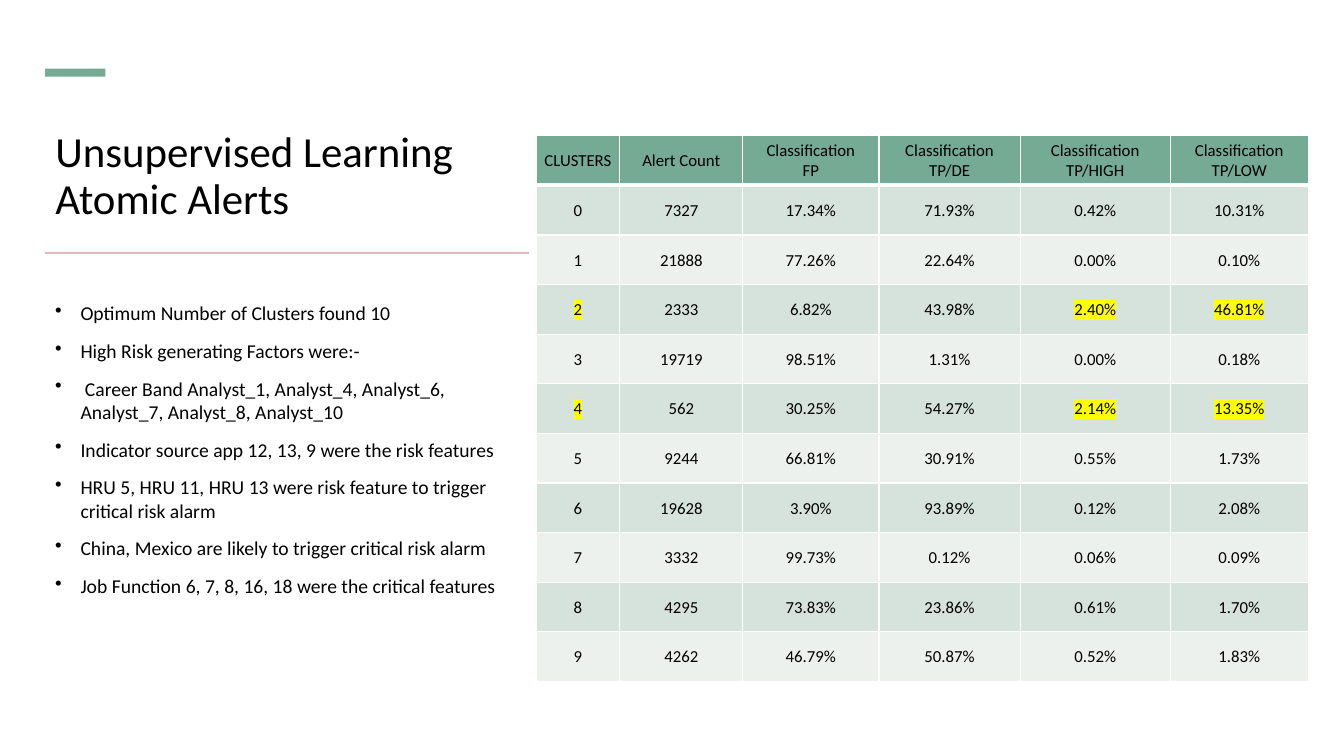
from lxml.etree import SubElement
from pptx import Presentation
from pptx.dml.color import RGBColor
from pptx.enum.shapes import MSO_SHAPE as Shape
from pptx.enum.text import MSO_ANCHOR as Anchor, MSO_AUTO_SIZE as AutoSize, PP_ALIGN as Align
from pptx.oxml.ns import qn
from pptx.util import Cm, Pt

FONT = "Calibri"
COLORS = {
    "text": "000000",
    "green": "75AB94",
    "rose": "DBBDBE",
    "band_dark": "D6E2DC",
    "band_light": "ECF1EE",
    "border": "FFFFFF",
    "highlight": "FFFF00",
}
LEFT = 1.14
TEXT_WIDTH = 12.34

FINDINGS = [
    "Optimum Number of Clusters found 10",
    "High Risk generating Factors were:-",
    " Career Band Analyst_1, Analyst_4, Analyst_6, Analyst_7, Analyst_8, Analyst_10",
    "Indicator source app 12, 13, 9 were the risk features",
    "HRU 5, HRU 11, HRU 13 were risk feature to trigger critical risk alarm",
    "China, Mexico are likely to trigger critical risk alarm",
    "Job Function 6, 7, 8, 16, 18 were the critical features",
]
HEADER = ["CLUSTERS", "Alert Count"] + [
    f"Classification\n{label}" for label in ("FP", "TP/DE", "TP/HIGH", "TP/LOW")
]
CLUSTERS = [
    ("0", "7327", "17.34%", "71.93%", "0.42%", "10.31%"),
    ("1", "21888", "77.26%", "22.64%", "0.00%", "0.10%"),
    ("2", "2333", "6.82%", "43.98%", "2.40%", "46.81%"),
    ("3", "19719", "98.51%", "1.31%", "0.00%", "0.18%"),
    ("4", "562", "30.25%", "54.27%", "2.14%", "13.35%"),
    ("5", "9244", "66.81%", "30.91%", "0.55%", "1.73%"),
    ("6", "19628", "3.90%", "93.89%", "0.12%", "2.08%"),
    ("7", "3332", "99.73%", "0.12%", "0.06%", "0.09%"),
    ("8", "4295", "73.83%", "23.86%", "0.61%", "1.70%"),
    ("9", "4262", "46.79%", "50.87%", "0.52%", "1.83%"),
]
COLUMN_WIDTHS = [2.11, 3.1, 3.43, 3.56, 3.78, 3.48]
HEADER_HEIGHT, ROW_HEIGHT = 1.27, 1.25
RISKY_CLUSTERS = {"2", "4"}
RISK_COLUMNS = {0, 4, 5}


def rgb(name):
    return RGBColor.from_string(COLORS[name])


def style_font(font, size):
    font.name = FONT
    font.size = Pt(size)
    font.bold = False
    font.color.rgb = rgb("text")


def set_title(slide, text):
    sp = slide.shapes.title
    sp.left, sp.top, sp.width, sp.height = Cm(LEFT), Cm(2.74), Cm(TEXT_WIDTH), Cm(3.02)
    tf = sp.text_frame
    tf.text = text
    tf.word_wrap = True
    tf.auto_size = AutoSize.NONE
    tf.vertical_anchor = Anchor.BOTTOM
    p = tf.paragraphs[0]
    p.alignment = Align.LEFT
    p.line_spacing = 0.9
    style_font(p.font, 30.6)


def add_bar(slide, top, width, height, color):
    sp = slide.shapes.add_shape(Shape.RECTANGLE, Cm(LEFT), Cm(top), Cm(width), Cm(height))
    sp.shadow.inherit = False
    sp.fill.solid()
    sp.fill.fore_color.rgb = rgb(color)
    sp.line.fill.background()


def add_bullets(slide, items):
    sp = slide.shapes.add_textbox(Cm(LEFT), Cm(7.47), Cm(TEXT_WIDTH), Cm(9.7))
    tf = sp.text_frame
    tf.word_wrap = True
    tf.text = "\n".join(items)
    for p in tf.paragraphs:
        p.space_before = Pt(10)
        style_font(p.font, 14)
        pPr = p._p.get_or_add_pPr()
        pPr.set("marL", str(Cm(0.64)))
        pPr.set("indent", str(-Cm(0.64)))
        bullet = pPr.makeelement(qn("a:buChar"), {"char": "•"})
        pPr.find(qn("a:defRPr")).addprevious(bullet)


def add_solid_color(parent, color):
    fill = SubElement(parent, qn("a:solidFill"))
    SubElement(fill, qn("a:srgbClr"), val=COLORS[color])


def set_borders(cell, top, bottom):
    tcPr = cell._tc.get_or_add_tcPr()
    for side, width in (("L", 1), ("R", 1), ("T", top), ("B", bottom)):
        ln = SubElement(tcPr, qn(f"a:ln{side}"), w=str(Pt(width)))
        add_solid_color(ln, "border")


def highlight(r):
    mark = r._r.makeelement(qn("a:highlight"))
    SubElement(mark, qn("a:srgbClr"), val=COLORS["highlight"])
    r._r.get_or_add_rPr().find(qn("a:latin")).addprevious(mark)


def fill_cell(cell, text, color, top=1, bottom=1, marked=False):
    set_borders(cell, top, bottom)
    cell.fill.solid()
    cell.fill.fore_color.rgb = rgb(color)
    cell.vertical_anchor = Anchor.MIDDLE
    cell.margin_left = cell.margin_right = cell.margin_top = Cm(0.03)
    cell.margin_bottom = 0
    cell.text_frame.text = text
    for p in cell.text_frame.paragraphs:
        p.alignment = Align.CENTER
        r = p.runs[0]
        style_font(r.font, 12)
        if marked:
            highlight(r)


def add_cluster_table(slide):
    height = HEADER_HEIGHT + ROW_HEIGHT * len(CLUSTERS)
    table = slide.shapes.add_table(
        len(CLUSTERS) + 1, len(HEADER), Cm(13.51), Cm(3.4), Cm(sum(COLUMN_WIDTHS)), Cm(height)
    ).table
    for column, width in zip(table.columns, COLUMN_WIDTHS):
        column.width = Cm(width)
    table.rows[0].height = Cm(HEADER_HEIGHT)
    for col, text in enumerate(HEADER):
        fill_cell(table.cell(0, col), text, "green", bottom=3)
    for row, values in enumerate(CLUSTERS, start=1):
        table.rows[row].height = Cm(ROW_HEIGHT)
        band = "band_dark" if row % 2 else "band_light"
        for col, text in enumerate(values):
            marked = values[0] in RISKY_CLUSTERS and col in RISK_COLUMNS
            fill_cell(table.cell(row, col), text, band, top=3 if row == 1 else 1, marked=marked)


def main():
    prs = Presentation()
    prs.slide_width, prs.slide_height = Cm(33.87), Cm(19.05)
    slide = prs.slides.add_slide(prs.slide_layouts[5])
    set_title(slide, "Unsupervised Learning Atomic Alerts")
    add_bar(slide, 1.73, 1.52, 0.2, "green")
    add_bar(slide, 6.35, 12.19, 0.05, "rose")
    add_bullets(slide, FINDINGS)
    add_cluster_table(slide)
    prs.save("out.pptx")


if __name__ == "__main__":
    main()
